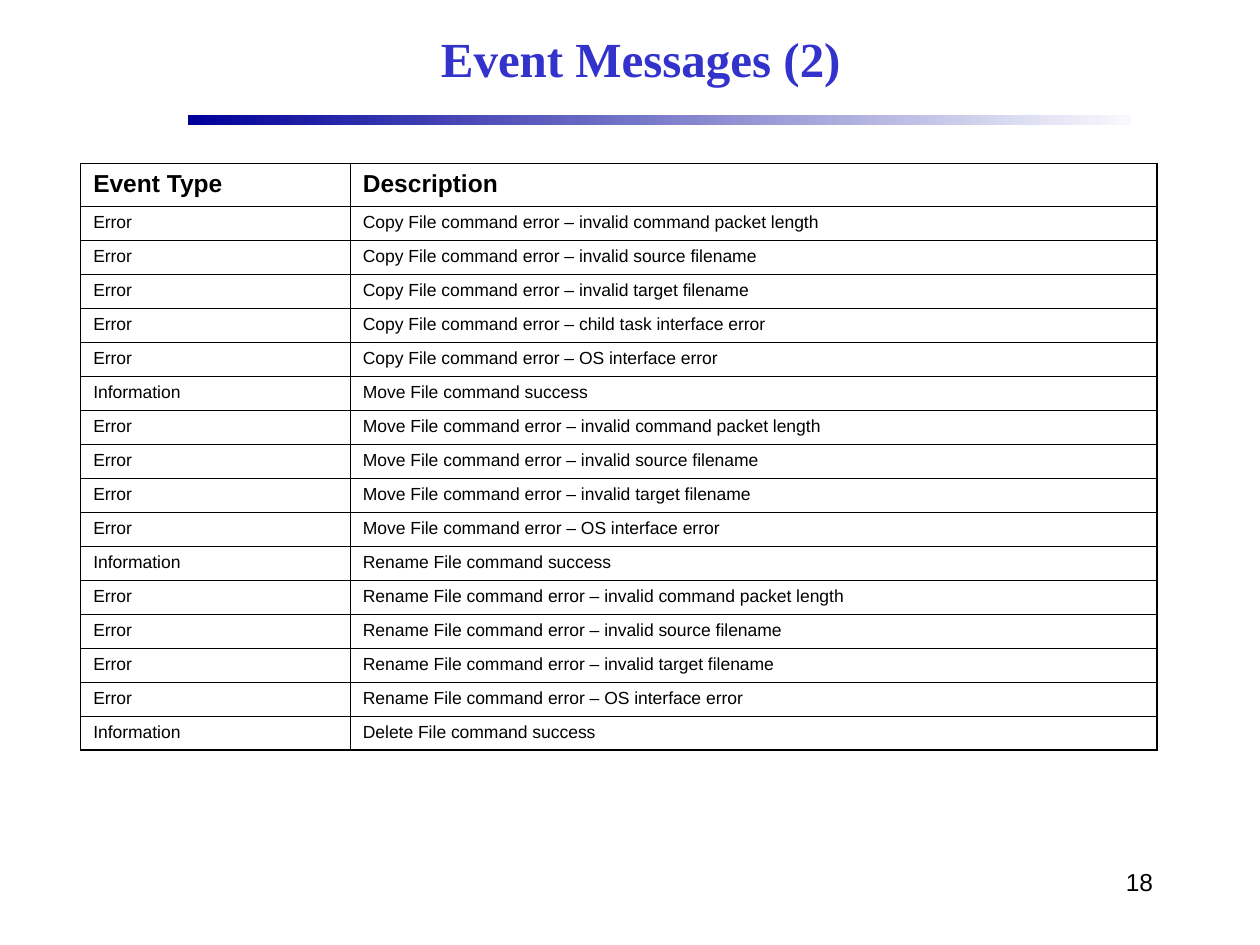
from dataclasses import dataclass

from lxml.etree import SubElement
from pptx import Presentation
from pptx.dml.color import RGBColor
from pptx.enum.shapes import MSO_SHAPE
from pptx.enum.text import MSO_ANCHOR, MSO_AUTO_SIZE, PP_ALIGN
from pptx.oxml.ns import qn
from pptx.util import Inches, Pt

SLIDE_WIDTH, SLIDE_HEIGHT = Inches(10), Inches(7.5)
COLUMN_SHARES = (0.214, 0.64)
HEADER_HEIGHT, EVENT_HEIGHT = Inches(0.34), Inches(0.27)
THIN, THICK = Pt(0.45), Pt(1.08)
BLACK = "000000"


@dataclass(frozen=True)
class Area:
    left: float
    top: float
    width: float
    height: float

    def place(self) -> tuple[int, int, int, int]:
        return (
            round(self.left * SLIDE_WIDTH),
            round(self.top * SLIDE_HEIGHT),
            round(self.width * SLIDE_WIDTH),
            round(self.height * SLIDE_HEIGHT),
        )


@dataclass(frozen=True)
class TextStyle:
    size: float
    bold: bool = False
    font: str = "Arial"
    color: str = BLACK
    align: PP_ALIGN = PP_ALIGN.LEFT
    space_before: float = 0


@dataclass(frozen=True)
class Event:
    kind: str
    description: str


TITLE_AREA = Area(0.15, 0.011, 0.717, 0.1)
RULE_AREA = Area(0.149, 0.122, 0.749, 0.01)
TABLE_AREA = Area(0.064, 0.173, sum(COLUMN_SHARES), 0.62)
NUMBER_AREA = Area(0.717, 0.911, 0.208, 0.067)

TITLE_STYLE = TextStyle(28, True, "Times New Roman", "3333CC", PP_ALIGN.CENTER)
NUMBER_STYLE = TextStyle(14, align=PP_ALIGN.RIGHT)
HEADER_STYLE = TextStyle(14, True, space_before=6.1)
EVENT_STYLE = TextStyle(10, space_before=4.4)

HEADER = Event("Event Type", "Description")
EVENTS = (
    Event("Error", "Copy File command error – invalid command packet length"),
    Event("Error", "Copy File command error – invalid source filename"),
    Event("Error", "Copy File command error – invalid target filename"),
    Event("Error", "Copy File command error – child task interface error"),
    Event("Error", "Copy File command error – OS interface error"),
    Event("Information", "Move File command success"),
    Event("Error", "Move File command error – invalid command packet length"),
    Event("Error", "Move File command error – invalid source filename"),
    Event("Error", "Move File command error – invalid target filename"),
    Event("Error", "Move File command error – OS interface error"),
    Event("Information", "Rename File command success"),
    Event("Error", "Rename File command error – invalid command packet length"),
    Event("Error", "Rename File command error – invalid source filename"),
    Event("Error", "Rename File command error – invalid target filename"),
    Event("Error", "Rename File command error – OS interface error"),
    Event("Information", "Delete File command success"),
)


def rgb(color: str) -> RGBColor:
    return RGBColor.from_string(color)


def write(text_frame, text: str, style: TextStyle) -> None:
    text_frame.text = text
    para = text_frame.paragraphs[0]
    para.alignment = style.align
    para.space_before = Pt(style.space_before)
    for span in para.runs:
        span.font.name = style.font
        span.font.size = Pt(style.size)
        span.font.bold = style.bold
        span.font.color.rgb = rgb(style.color)


def add_title(page, text: str) -> None:
    title = page.shapes.title
    title.left, title.top, title.width, title.height = TITLE_AREA.place()
    title.text_frame.auto_size = MSO_AUTO_SIZE.NONE
    title.text_frame.vertical_anchor = MSO_ANCHOR.MIDDLE
    write(title.text_frame, text, TITLE_STYLE)


def add_fading_rule(page) -> None:
    rule = page.shapes.add_shape(MSO_SHAPE.RECTANGLE, *RULE_AREA.place())
    rule.shadow.inherit = False
    rule.line.fill.background()
    rule.fill.gradient()
    rule.fill.gradient_angle = 0
    for stop, position, color in zip(rule.fill.gradient_stops, (0, 1), ("000099", "F9F9FD")):
        stop.position = position
        stop.color.rgb = rgb(color)


def add_page_number(page, text: str) -> None:
    box = page.shapes.add_textbox(*NUMBER_AREA.place())
    box.text_frame.word_wrap = True
    write(box.text_frame, text, NUMBER_STYLE)


def set_borders(cell, outer_sides: dict[str, bool]) -> None:
    properties = cell._tc.get_or_add_tcPr()
    for side, is_outer in outer_sides.items():
        line = SubElement(properties, qn(f"a:ln{side}"), w=str(THICK if is_outer else THIN))
        fill = SubElement(line, qn("a:solidFill"))
        SubElement(fill, qn("a:srgbClr"), val=BLACK)


def add_event_table(page) -> None:
    records = (HEADER, *EVENTS)
    last_row, last_column = len(records) - 1, len(COLUMN_SHARES) - 1
    table = page.shapes.add_table(len(records), len(COLUMN_SHARES), *TABLE_AREA.place()).table
    table.horz_banding = False
    for column, share in zip(table.columns, COLUMN_SHARES):
        column.width = round(share * SLIDE_WIDTH)
    for row_index, record in enumerate(records):
        is_header = row_index == 0
        table.rows[row_index].height = HEADER_HEIGHT if is_header else EVENT_HEIGHT
        for column_index, text in enumerate((record.kind, record.description)):
            cell = table.cell(row_index, column_index)
            write(cell.text_frame, text, HEADER_STYLE if is_header else EVENT_STYLE)
            set_borders(cell, {
                "L": column_index == 0,
                "R": column_index == last_column,
                "T": is_header,
                "B": row_index == last_row,
            })
            cell.fill.background()


def main() -> None:
    deck = Presentation()
    deck.slide_width, deck.slide_height = SLIDE_WIDTH, SLIDE_HEIGHT
    page = deck.slides.add_slide(deck.slide_layouts[5])
    add_fading_rule(page)
    add_page_number(page, "18")
    add_title(page, "Event Messages (2)")
    add_event_table(page)
    deck.save("out.pptx")


if __name__ == "__main__":
    main()
